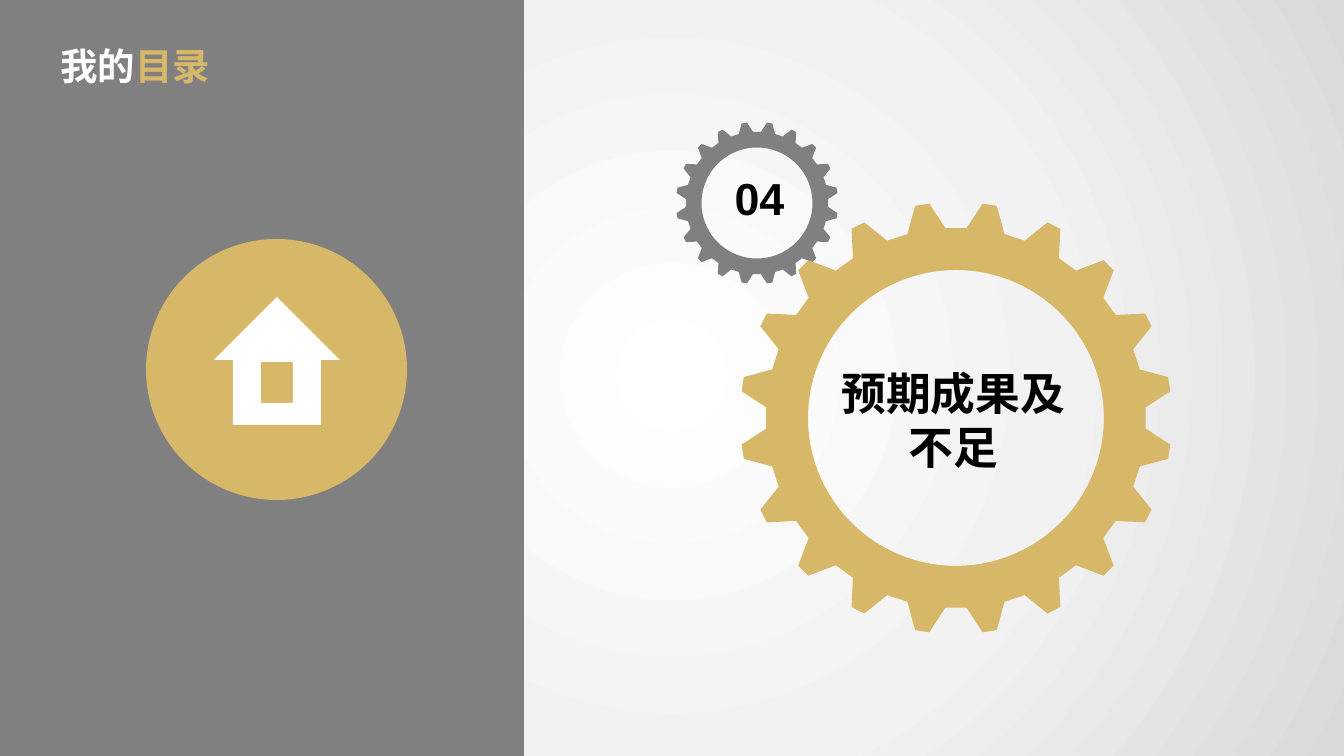
import math
import pptx
import pptx.util
import pptx.dml.color
import pptx.enum.shapes
import pptx.enum.text
import pptx.oxml
import pptx.oxml.ns

PX = 12192000 / 1344
COLORS = {"white": "FFFFFF", "light": "F2F2F2", "silver": "D9D9D9",
          "gray": "808080", "gold": "D7B768", "black": "000000"}
SHAPE = pptx.enum.shapes.MSO_SHAPE


def paint(sp, color):
    sp.shadow.inherit = False
    sp.fill.solid()
    sp.fill.fore_color.rgb = pptx.dml.color.RGBColor.from_string(COLORS[color])
    sp.line.fill.background()


def write(sp, *runs, box, size, spacing=None, inset=(10, 5)):
    sp.left, sp.top, sp.width, sp.height = [round(v * PX) for v in box]
    tf = sp.text_frame
    tf.word_wrap = True
    tf.auto_size = pptx.enum.text.MSO_AUTO_SIZE.SHAPE_TO_FIT_TEXT
    tf.vertical_anchor = pptx.enum.text.MSO_ANCHOR.TOP
    tf.margin_left = tf.margin_right = round(inset[0] * PX)
    tf.margin_top = tf.margin_bottom = round(inset[1] * PX)
    p = tf.paragraphs[0]
    p.alignment = pptx.enum.text.PP_ALIGN.CENTER
    p.line_spacing = spacing
    for text, color in runs:
        r = p.add_run()
        r.text = text
        r.font.name = "Arial"
        r.font.size = pptx.util.Pt(size)
        r.font.bold = True
        r.font.color.rgb = pptx.dml.color.RGBColor.from_string(COLORS[color])


prs = pptx.Presentation()
prs.slide_width = round(1344 * PX)
prs.slide_height = round(756 * PX)
s = prs.slides.add_slide(prs.slide_layouts[5])

backdrop = s.shapes.add_shape(SHAPE.RECTANGLE, 0, round(-5 * PX), round(1344 * PX), round(761 * PX))
paint(backdrop, "white")
stops = "".join(f'<a:gs pos="{pos}000"><a:srgbClr val="{COLORS[name]}"/></a:gs>'
                for pos, name in ((0, "white"), (51, "light"), (100, "silver")))
gradient = pptx.oxml.parse_xml(
    f'<a:gradFill {pptx.oxml.ns.nsdecls("a")} rotWithShape="1"><a:gsLst>{stops}</a:gsLst>'
    '<a:path path="circle"><a:fillToRect l="50000" t="50000" r="50000" b="50000"/></a:path>'
    '</a:gradFill>')
solid = backdrop.element.spPr.find(pptx.oxml.ns.qn("a:solidFill"))
solid.getparent().replace(solid, gradient)
backdrop.element.xpath(".//p:cNvPr")[0].set("id", "100")
prs.slide_master.shapes.element.insert(2, backdrop.element)

panel = s.shapes.add_shape(SHAPE.RECTANGLE, 0, 0, round(524 * PX), round(756 * PX))
paint(panel, "gray")

badge = s.shapes.add_group_shape()
disc = badge.shapes.add_shape(SHAPE.OVAL, *[round(v * PX) for v in (146, 239, 261, 261)])
paint(disc, "gold")

house = [(277, 297), (340, 360), (321, 360), (321, 425), (233, 425), (233, 360), (214, 360)]
window = [(261, 362), (261, 403), (293, 403), (293, 362)]
outlines = [(badge.shapes, (house, window), "white")]

TEETH = 20
PROFILE = ((-3.2, 0.88), (3.2, 0.88), (7.1, 1), (10.9, 1))
for cx, cy, radius, color in ((757, 203, 81, "gray"), (956, 418, 216, "gold")):
    rim = [(tooth * 360 / TEETH + angle, ratio) for tooth in range(TEETH) for angle, ratio in PROFILE]
    hole = [(angle, 0.685) for angle in range(360, 0, -3)]
    contours = [[(cx + radius * ratio * math.sin(math.radians(angle)),
                  cy - radius * ratio * math.cos(math.radians(angle)))
                 for angle, ratio in ring] for ring in (rim, hole)]
    outlines.append((s.shapes, contours, color))

for shapes, contours, color in outlines:
    outer, inner = [[(x * PX, y * PX) for x, y in contour] for contour in contours]
    fb = shapes.build_freeform(*outer[0])
    fb.add_line_segments(outer[1:])
    fb.move_to(*inner[0])
    fb.add_line_segments(inner[1:])
    paint(fb.convert_to_shape(), color)

for text, box, spacing in (("预期成果及不足", (814, 361, 279, 119), None),
                           ("04", (704, 176, 111, 53), 0.8)):
    write(s.shapes.add_textbox(0, 0, 0, 0), (text, "black"), box=box, size=32, spacing=spacing)

title = s.shapes.title
s.shapes.element.append(title.element)
write(title, ("我的", "white"), ("目录", "gold"), box=(38, 34, 194, 64), size=26.7, inset=(18, 9))

prs.save("out.pptx")
